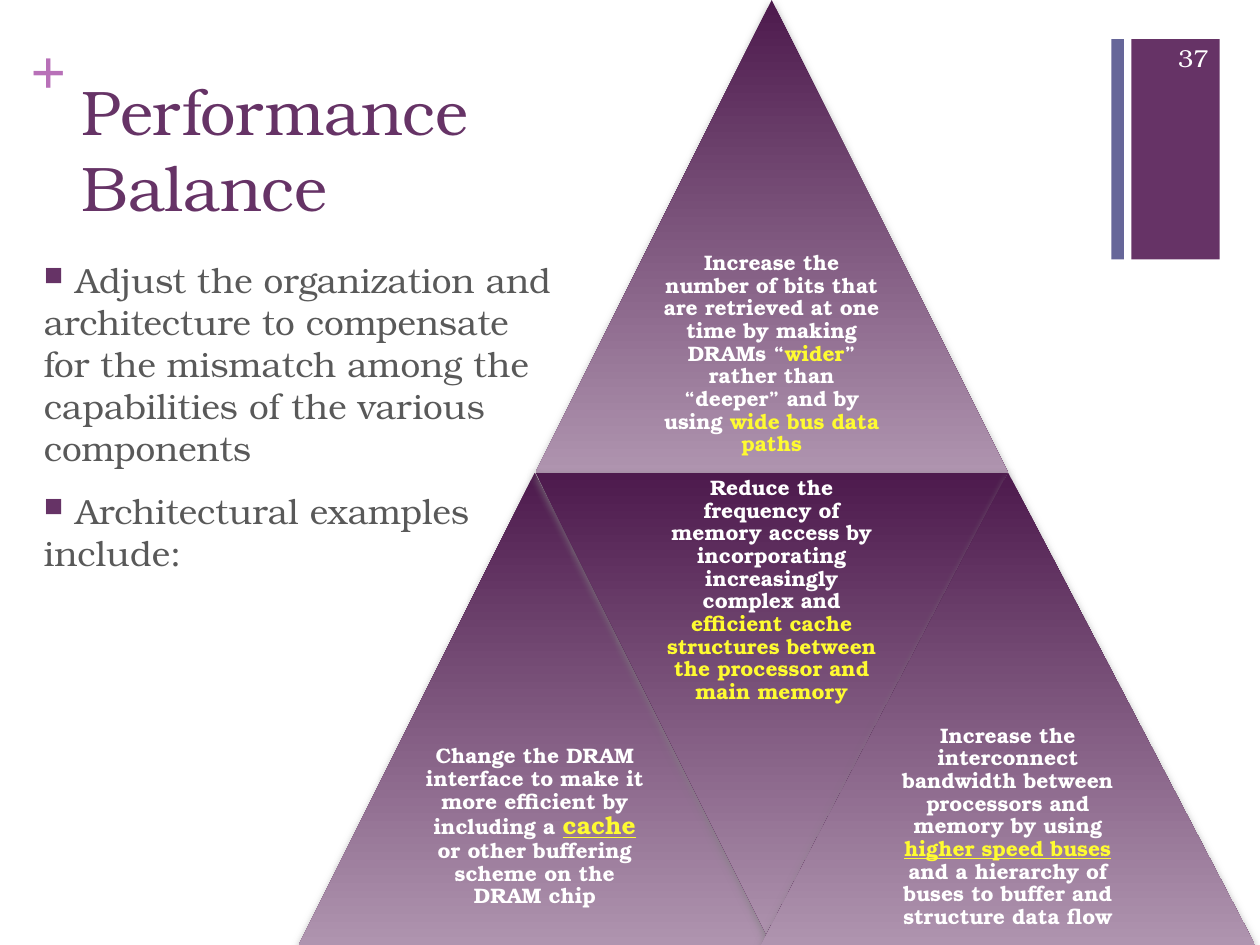
from lxml import etree
from pptx import Presentation
from pptx.dml.color import RGBColor
from pptx.enum.shapes import MSO_SHAPE as SHAPE
from pptx.enum.text import MSO_ANCHOR as ANCHOR, PP_ALIGN as ALIGN
from pptx.oxml.ns import qn
from pptx.util import Inches, Pt

PURPLE = RGBColor(0x66, 0x33, 0x66)
ORCHID = RGBColor(0xB8, 0x70, 0xB8)
SLATE = RGBColor(0x66, 0x66, 0x99)
DARK = RGBColor(0x4D, 0x1A, 0x4D)
LIGHT = RGBColor(0xAF, 0x94, 0xAF)
GRAY = RGBColor(0x59, 0x59, 0x59)
WHITE = RGBColor(0xFF, 0xFF, 0xFF)
YELLOW = RGBColor(0xFE, 0xFB, 0x31)

SIDE = 3.75
# left, top, width, inverted, runs of (text, highlighted, underlined, size)
TRIANGLES = [
    (4.25, 0, SIDE, False, [
        ("Increase the number of bits that are retrieved at one time by making DRAMs “",
         False, False, 12),
        ("wider", True, False, 12),
        ("” rather than “deeper” and by using ", False, False, 12),
        ("wide bus data paths", True, False, 12)]),
    (2.37, SIDE, SIDE, False, [
        ("Change the DRAM interface to make it more efficient by including a ",
         False, False, 12),
        ("cache", True, True, 14),
        (" or other buffering scheme on the DRAM chip", False, False, 12)]),
    (4.25, SIDE, SIDE, True, [
        ("Reduce the frequency of memory access by incorporating increasingly complex and ",
         False, False, 12),
        ("efficient cache structures between the processor and main memory",
         True, False, 12)]),
    (6.04, SIDE, 3.92, False, [
        ("Increase the interconnect bandwidth between processors and memory by using ",
         False, False, 12),
        ("higher speed buses ", True, True, 12),
        ("and a hierarchy of buses to buffer and structure data flow",
         False, False, 12)]),
]

BULLETS = [
    ["Adjust the organization and", "architecture to compensate",
     "for the mismatch among the", "capabilities of the various", "components"],
    ["Architectural examples", "include:"],
]


class SlideBuilder:
    def __init__(self, slide, font="TeX Gyre Bonum"):
        self.slide = slide
        self.font = font

    def shape(self, kind, left, top, width, height):
        s = self.slide.shapes.add_shape(
            kind, Inches(left), Inches(top), Inches(width), Inches(height))
        s.shadow.inherit = False
        s.line.fill.background()
        return s

    def bar(self, left, width, color):
        s = self.shape(SHAPE.RECTANGLE, left, 0.31, width, 1.75)
        s.fill.solid()
        s.fill.fore_color.rgb = color

    def frame(self, left, top, width, height, inset=None, anchor=ANCHOR.TOP):
        tf = self.slide.shapes.add_textbox(
            Inches(left), Inches(top), Inches(width), Inches(height)).text_frame
        tf.word_wrap = True
        tf.vertical_anchor = anchor
        if inset is not None:
            tf.margin_left = tf.margin_right = Inches(inset)
            tf.margin_top = tf.margin_bottom = Inches(inset)
        return tf

    def style(self, r, size, color, bold=False, underline=False, font=None):
        r.font.name = font or self.font
        r.font.size = Pt(size)
        r.font.color.rgb = color
        r.font.bold = bold
        r.font.underline = underline

    def label(self, box, text, size, color, align=ALIGN.LEFT, bold=False,
              font=None, **frame_args):
        tf = self.frame(*box, **frame_args)
        tf.text = text
        p = tf.paragraphs[0]
        p.alignment = align
        for r in p.runs:
            self.style(r, size, color, bold, font=font)

    def triangle(self, left, top, width, inverted, runs):
        s = self.shape(SHAPE.ISOSCELES_TRIANGLE, left, top, width, SIDE)
        s.rotation = 180 if inverted else 0
        s.fill.gradient()
        s.fill.gradient_angle = 270
        for stop, color in zip(s.fill.gradient_stops, (DARK, LIGHT)):
            stop.color.rgb = color
        props = s._element.spPr
        # keeps the dark end on top when the triangle is turned over
        props.find(qn("a:gradFill")).set("rotWithShape", "0")
        shadow = etree.SubElement(
            props.find(qn("a:effectLst")), qn("a:outerShdw"),
            blurRad=str(Pt(5)), dist=str(Pt(2)), dir="5400000", rotWithShape="0")
        color = etree.SubElement(shadow, qn("a:srgbClr"), val="808080")
        etree.SubElement(color, qn("a:alpha"), val="75000")

        text_top = top if inverted else top + SIDE / 2
        tf = self.frame(left + width / 4, text_top, width / 2, SIDE / 2,
                        inset=0.05, anchor=ANCHOR.MIDDLE)
        p = tf.paragraphs[0]
        p.alignment = ALIGN.CENTER
        p.line_spacing = 0.9
        for text, highlighted, underlined, size in runs:
            r = p.add_run()
            r.text = text
            self.style(r, size, YELLOW if highlighted else WHITE, True, underlined)

    def bullets(self, box, items):
        """Each item is a list of lines; only its first line has a bullet."""
        tf = self.frame(*box)
        tf.text = "\n".join(line for lines in items for line in lines)
        starts = [first for lines in items for first in [True] + [False] * (len(lines) - 1)]
        for p, first in zip(tf.paragraphs, starts):
            p.level = 1
            p.space_before = Pt(12 if first else 0)
            self.style(p.runs[0], 20, GRAY)
            props = p._p.get_or_add_pPr()
            props.set("marL", str(Inches(0.5)))
            props.set("indent", str(Inches(-0.25)))
            if first:
                color = etree.SubElement(props, qn("a:buClr"))
                etree.SubElement(color, qn("a:srgbClr"), val=str(PURPLE))
                etree.SubElement(props, qn("a:buSzPct"), val="75000")
                etree.SubElement(props, qn("a:buChar"), char="■")
            else:
                etree.SubElement(props, qn("a:buNone"))


def main():
    prs = Presentation()
    prs.slide_width, prs.slide_height = Inches(10), Inches(7.5)
    b = SlideBuilder(prs.slides.add_slide(prs.slide_layouts[6]))

    b.bar(8.98, 0.7, PURPLE)
    b.label((0.24, 0.25, 0.29, 0.61), "+", 36, ORCHID, bold=True,
            font="Times New Roman", inset=0)
    b.bar(8.82, 0.1, SLATE)
    b.label((0.55, 0.53, 5.2, 1.47), "Performance \vBalance", 36, PURPLE)
    for triangle in TRIANGLES:
        b.triangle(*triangle)
    b.bullets((0, 2, 4.83, 3.01), BULLETS)
    b.label((9.08, 0.26, 0.61, 0.4), "37", 14, WHITE, align=ALIGN.RIGHT,
            anchor=ANCHOR.MIDDLE)
    prs.save("out.pptx")


if __name__ == "__main__":
    main()
